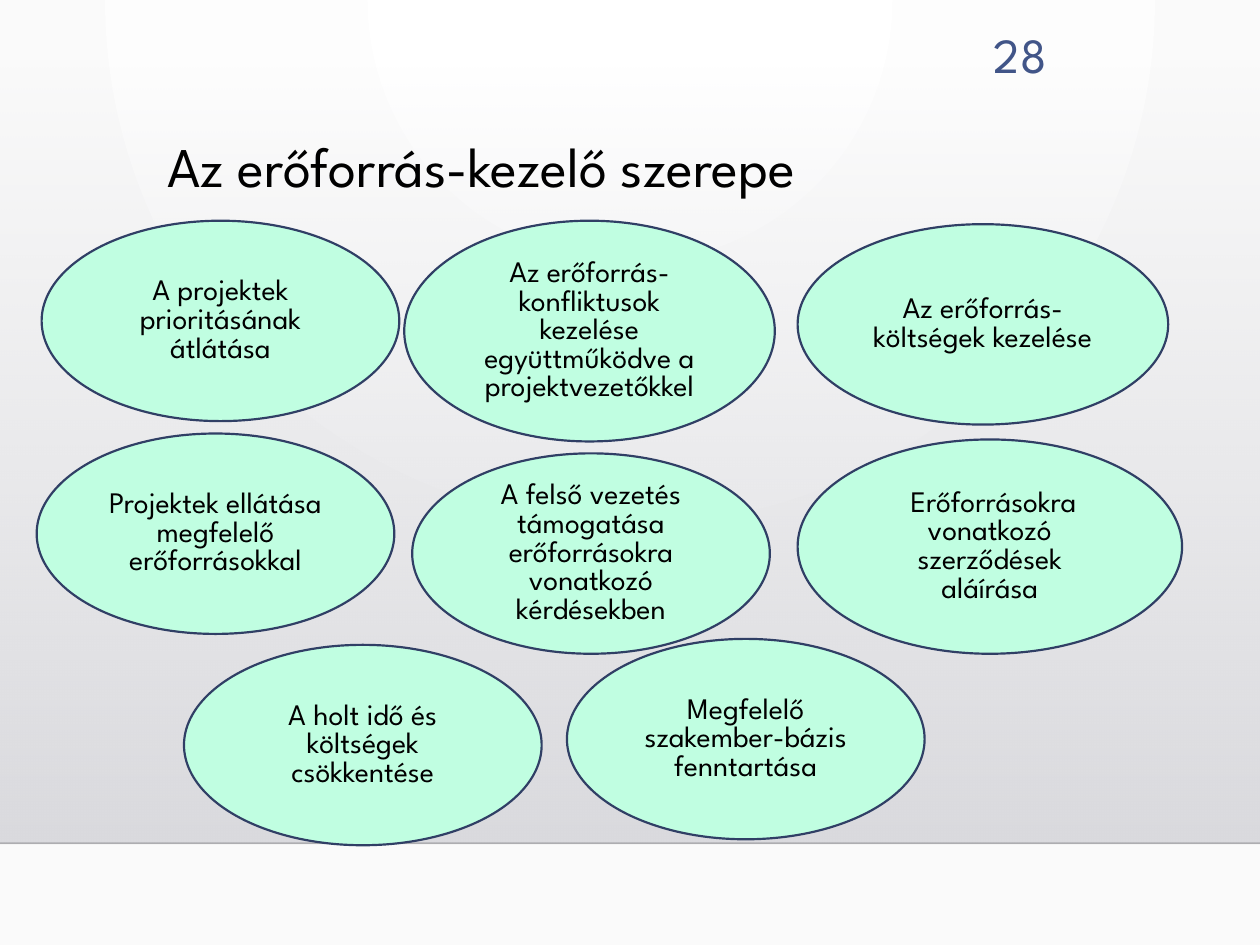
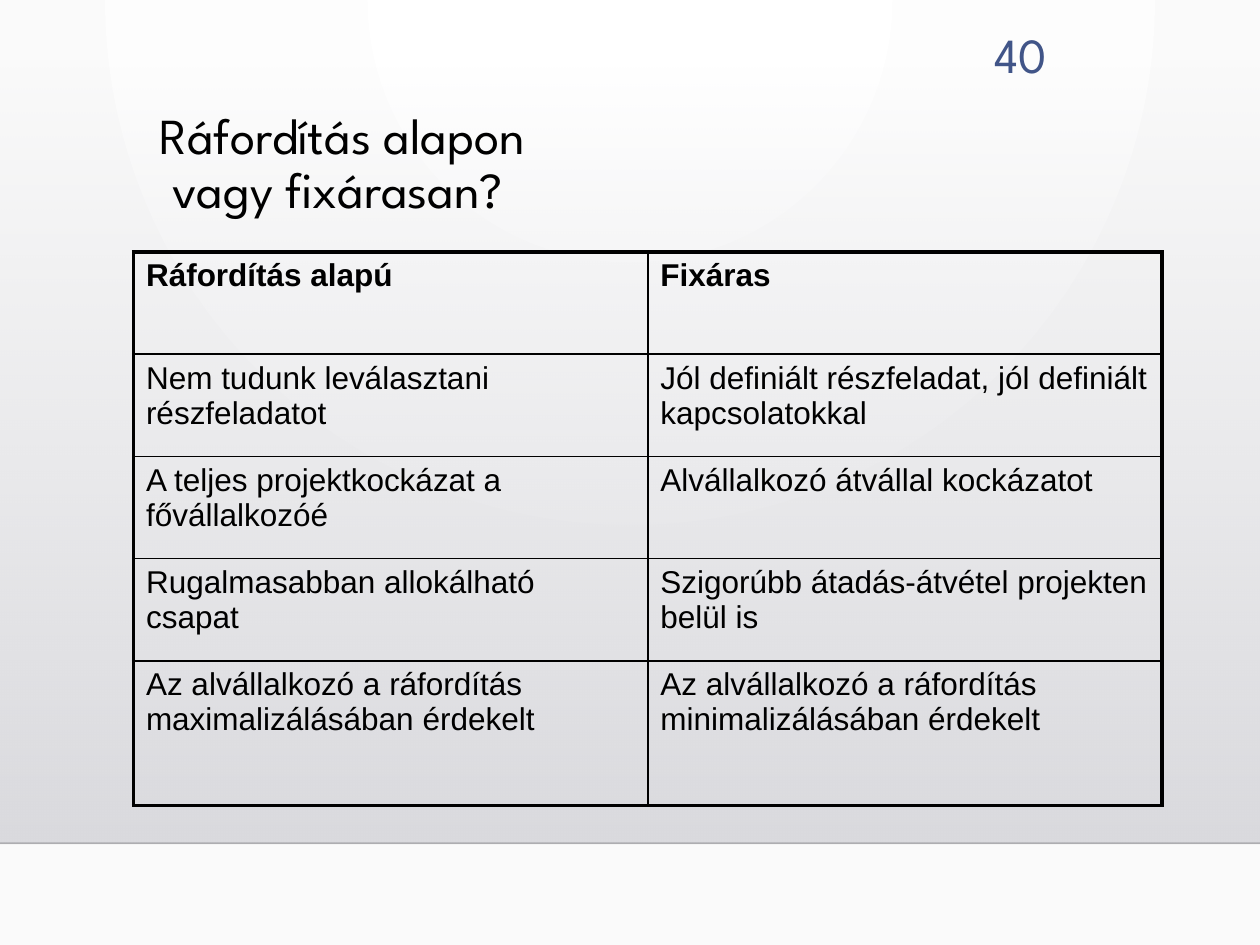
import pptx
import pptx.dml.color
import pptx.enum.shapes
import pptx.enum.text
import pptx.oxml
import pptx.oxml.ns
import pptx.util
from lxml import etree

Cm, Pt = pptx.util.Cm, pptx.util.Pt
RGBColor = pptx.dml.color.RGBColor
PP_ALIGN, MSO_ANCHOR = pptx.enum.text.PP_ALIGN, pptx.enum.text.MSO_ANCHOR
MSO_SHAPE = pptx.enum.shapes.MSO_SHAPE
qn = pptx.oxml.ns.qn

BLACK = RGBColor(0, 0, 0)
WHITE = RGBColor(0xFF, 0xFF, 0xFF)
PAPER = RGBColor(0xFA, 0xFA, 0xFA)
BAND = RGBColor(0xDA, 0xDA, 0xDE)
NUMBER = RGBColor(0x41, 0x55, 0x88)
MINT = RGBColor(0xC0, 0xFE, 0xE1)
NAVY = RGBColor(0x30, 0x3F, 0x65)
FONT, TABLE_FONT = "League Spartan", "Arial"

SLIDE_W, SLIDE_H = 25.4, 19.05
BAND_TOP, BAND_BOTTOM = 1.3, 17

TITLES = [
    # number, title, size, left, top, width, height
    ("28", "Az erőforrás-kezelő szerepe", 32, 3.12, 2.67, 18.26, 2.92),
    ("40", "Ráfordítás alapon\v vagy fixárasan?", 28.8, 2.97, 2.11, 15.67, 2.34),
]

OVAL_W, OVAL_H = 7.21, 4.04
ROLES = [
    ("A projektek prioritásának átlátása", 0.84, 4.45, OVAL_W, OVAL_H),
    ("Az erőforrás-konfliktusok kezelése együttműködve a projektvezetőkkel",
     8.15, 4.45, 7.47, 4.45),
    ("Az erőforrás-költségek kezelése", 16.08, 4.52, 7.47, OVAL_H),
    ("Projektek ellátása megfelelő erőforrásokkal", 0.74, 8.74, OVAL_W, OVAL_H),
    ("A felső vezetés támogatása erőforrásokra vonatkozó kérdésekben",
     8.31, 9.14, OVAL_W, OVAL_H),
    (" Erőforrásokra vonatkozó szerződések aláírása", 16.08, 8.86, 7.75, 4.32),
    ("A holt idő és költségek csökkentése", 3.71, 13, OVAL_W, OVAL_H),
    ("Megfelelő szakember-bázis fenntartása", 11.43, 12.88, OVAL_W, OVAL_H),
]

CONTRACTS = [
    ("Ráfordítás alapú", "Fixáras"),
    ("Nem tudunk leválasztani részfeladatot",
     "Jól definiált részfeladat, jól definiált kapcsolatokkal"),
    ("A teljes projektkockázat a fővállalkozóé", "Alvállalkozó átvállal kockázatot"),
    ("Rugalmasabban allokálható csapat", "Szigorúbb átadás-átvétel projekten belül is"),
    ("Az alvállalkozó a ráfordítás maximalizálásában érdekelt",
     "Az alvállalkozó a ráfordítás minimalizálásában érdekelt"),
]
ROW_HEIGHTS = [2.06, 2.06, 2.06, 2.06, 2.92]
COL_W = 10.37


def write(tf, text, size, color=BLACK, align=None, spacing=None, font=FONT, bold=False):
    """Fill a text frame with one uniformly formatted paragraph."""
    tf.word_wrap = True
    tf.text = text
    p = tf.paragraphs[0]
    p.alignment = align
    p.line_spacing = spacing
    for r in p.runs:
        r.font.name, r.font.size, r.font.bold = font, Pt(size), bold
        r.font.color.rgb = color


def set_alpha(element, percent):
    """Set the opacity of the first RGB colour below element."""
    clr = next(element.iter(qn("a:srgbClr")))
    etree.SubElement(clr, qn("a:alpha")).set("val", str(percent * 1000))


prs = pptx.Presentation()
prs.slide_width, prs.slide_height = Cm(SLIDE_W), Cm(SLIDE_H)

# Radial background, set once on the master
master = prs.slide_master
fill = master.background.fill
fill.gradient()
for stop, color in zip(fill.gradient_stops, (WHITE, PAPER)):
    stop.color.rgb = color
grad = next(master.element.iter(qn("a:gradFill")))
grad.replace(grad.find(qn("a:lin")), pptx.oxml.parse_xml(
    f'<a:path {pptx.oxml.ns.nsdecls("a")} path="circle">'
    '<a:fillToRect l="43000" t="0" r="43000" b="100000"/></a:path>'))

# Shared band, rule, number and title
slides = []
for number, title, size, *box in TITLES:
    slide = prs.slides.add_slide(prs.slide_layouts[6])
    slides.append(slide)

    band = slide.shapes.add_shape(MSO_SHAPE.RECTANGLE, 0, Cm(BAND_TOP),
                                  Cm(SLIDE_W), Cm(BAND_BOTTOM - BAND_TOP))
    band.shadow.inherit = False
    band.line.fill.background()
    band.fill.gradient()
    band.fill.gradient_angle = 270
    for stop in band.fill.gradient_stops:
        stop.color.rgb = BAND
    set_alpha(band._element.spPr, 0)

    rule = slide.shapes.add_connector(pptx.enum.shapes.MSO_CONNECTOR.STRAIGHT, 0,
                                      Cm(BAND_BOTTOM), Cm(SLIDE_W), Cm(BAND_BOTTOM))
    rule.line.color.rgb = BLACK
    rule.line.width = Pt(1)
    set_alpha(rule._element.spPr, 20)
    etree.SubElement(rule._element.spPr, qn("a:effectLst"))

    sp = slide.shapes.add_textbox(Cm(19.15), Cm(0.36), Cm(2.21), Cm(1.4))
    write(sp.text_frame, number, 28, NUMBER, PP_ALIGN.RIGHT)
    sp = slide.shapes.add_textbox(*map(Cm, box))
    write(sp.text_frame, title, size, spacing=0.9)

roles_slide, contracts_slide = slides

# Roles of the resource manager
for text, *box in ROLES:
    sp = roles_slide.shapes.add_shape(MSO_SHAPE.OVAL, *map(Cm, box))
    sp.shadow.inherit = False
    sp.fill.solid()
    sp.fill.fore_color.rgb = MINT
    sp.line.color.rgb = NAVY
    sp.line.width = Pt(1.25)
    sp.text_frame.vertical_anchor = MSO_ANCHOR.MIDDLE
    write(sp.text_frame, text, 17, align=PP_ALIGN.CENTER, spacing=0.8)

# Contract comparison
rows, cols = len(CONTRACTS), len(CONTRACTS[0])
table = contracts_slide.shapes.add_table(rows, cols, Cm(2.69), Cm(5.08), Cm(COL_W * cols),
                                         Cm(sum(ROW_HEIGHTS))).table
table.first_row = table.horz_banding = False
for col in table.columns:
    col.width = Cm(COL_W)
for i, (texts, height) in enumerate(zip(CONTRACTS, ROW_HEIGHTS)):
    table.rows[i].height = Cm(height)
    for j, text in enumerate(texts):
        cell = table.cell(i, j)
        cell.fill.background()
        write(cell.text_frame, text, 18, font=TABLE_FONT, bold=i == 0)
        outer = {"L": j == 0, "R": j == cols - 1, "T": i == 0, "B": i == rows - 1}
        for k, (side, is_outer) in enumerate(outer.items()):
            width = Pt(2.25 if is_outer else 1)
            cell._tc.tcPr.insert(k, pptx.oxml.parse_xml(
                f'<a:ln{side} {pptx.oxml.ns.nsdecls("a")} w="{width}">'
                f'<a:solidFill><a:srgbClr val="{BLACK}"/></a:solidFill></a:ln{side}>'))

prs.save("out.pptx")
